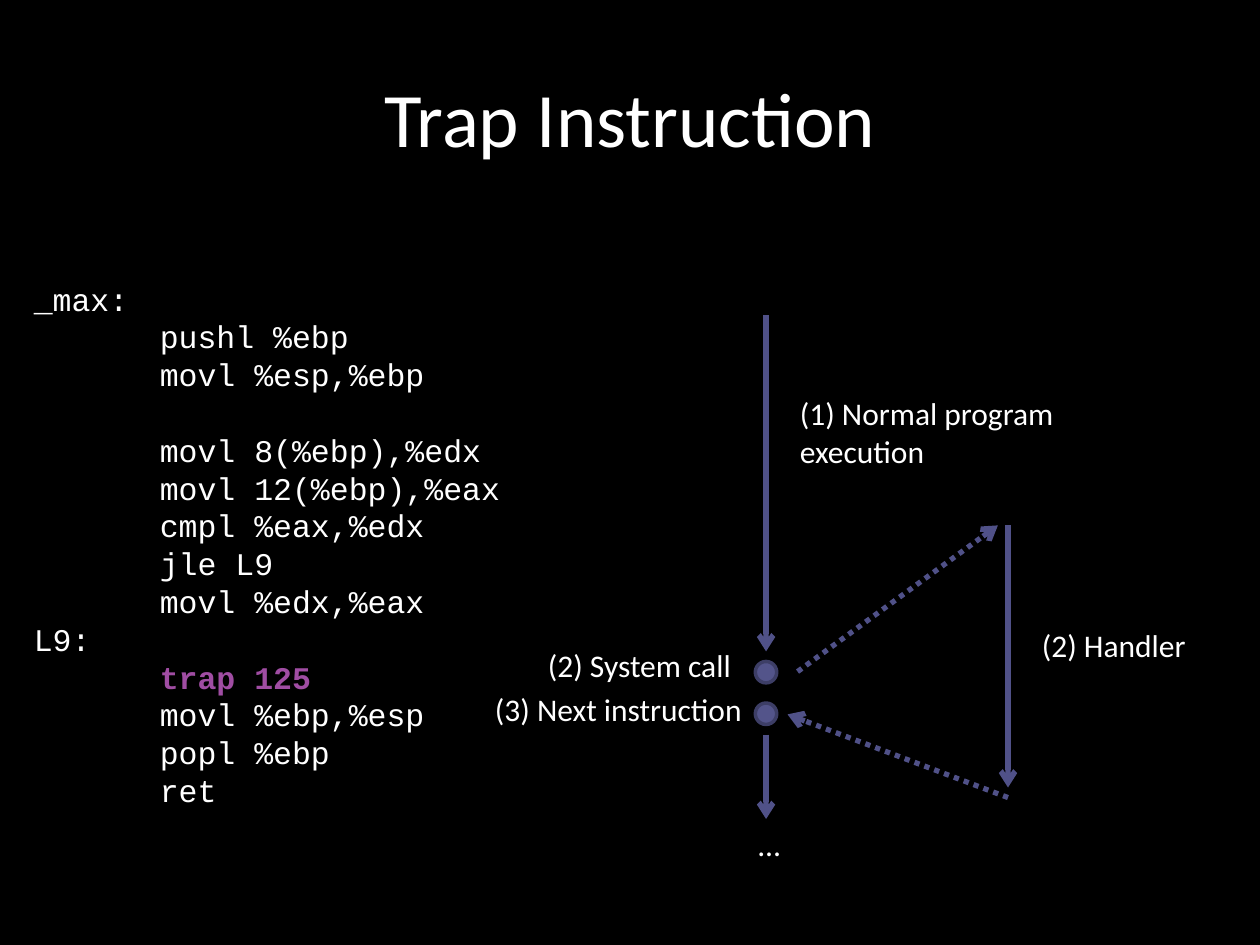
from lxml import etree
from pptx import Presentation
from pptx.dml.color import RGBColor
from pptx.enum.dml import MSO_LINE
from pptx.enum.shapes import MSO_CONNECTOR, MSO_SHAPE
from pptx.enum.text import MSO_ANCHOR, MSO_AUTO_SIZE, PP_ALIGN
from pptx.oxml.ns import qn
from pptx.util import Inches, Pt

STRAIGHT, OVAL = MSO_CONNECTOR.STRAIGHT, MSO_SHAPE.OVAL
DOTTED = MSO_LINE.ROUND_DOT  # written as sysDot
CENTER, MIDDLE = PP_ALIGN.CENTER, MSO_ANCHOR.MIDDLE
FIT_SHAPE = MSO_AUTO_SIZE.SHAPE_TO_FIT_TEXT

BLACK = RGBColor(0x00, 0x00, 0x00)
WHITE = RGBColor(0xFF, 0xFF, 0xFF)
ARROW_BLUE = RGBColor(0x50, 0x51, 0x88)
DOT_FILL = RGBColor(0x53, 0x54, 0x8A)
DOT_EDGE = RGBColor(0x3D, 0x3E, 0x66)
TRAP_PURPLE = RGBColor(0xA0, 0x4D, 0xA3)

BODY_FONT, CODE_FONT = "Calibri", "Courier New"
TEXT_SIZE = 18
CODE_LINE = Pt(21.6)
CODE_TAB = Inches(1)

# Content
TITLE = "Trap Instruction"
TRAP = "trap 125"
# Each block is set apart from the one before by one line
CODE_BLOCKS = [
    ["_max:", "\tpushl %ebp", "\tmovl %esp,%ebp"],
    ["\tmovl 8(%ebp),%edx", "\tmovl 12(%ebp),%eax", "\tcmpl %eax,%edx",
     "\tjle L9", "\tmovl %edx,%eax", "L9:", "\t" + TRAP,
     "\tmovl %ebp,%esp", "\tpopl %ebp", "\tret"],
]

# Program flow runs down one line, the handler down another
PROGRAM_X, HANDLER_X = 6.08, 8
DOT_SIZE = 0.17
DOT_TOPS = [5.25, 5.58]  # system call, next instruction
ARROWS = [  # start, end, dotted
    ((PROGRAM_X, 2.5), (PROGRAM_X, 5.17), False),
    ((6.33, 5.33), (7.92, 4.17), True),
    ((HANDLER_X, 4.17), (HANDLER_X, 6.25), False),
    ((HANDLER_X, 6.33), (6.25, 5.67), True),
    ((PROGRAM_X, 5.83), (PROGRAM_X, 6.5), False),
]
LABELS = [  # text, left, top, width, height
    ("(1) Normal program execution", 6.25, 3.08, 2.25, 0.71),
    ("(2) System call", 4.25, 5.08, 2.25, 0.4),
    ("(2) Handler", 8.17, 4.92, 2.25, 0.4),
    ("(3) Next instruction", 3.83, 5.43, 2.25, 0.4),
    ("…", 5.92, 6.5, 0.33, 0.4),
]


def add_run(paragraph, text, font=BODY_FONT, size=TEXT_SIZE, color=WHITE, bold=False):
    run = paragraph.add_run()
    run.text = text
    run.font.name = font
    run.font.size = Pt(size)
    run.font.color.rgb = color
    run.font.bold = bold


def add_text_frame(slide, left, top, width, height):
    box = slide.shapes.add_textbox(*map(Inches, (left, top, width, height)))
    frame = box.text_frame
    frame.word_wrap = True
    frame.auto_size = FIT_SHAPE
    return frame


def set_tab_stop(paragraph, position):
    stops = etree.SubElement(paragraph._p.get_or_add_pPr(), qn("a:tabLst"))
    etree.SubElement(stops, qn("a:tab"), pos=str(position), algn="l")


def add_code(slide):
    frame = add_text_frame(slide, 0.17, 2.17, 4.17, 4.3)
    paragraph = frame.paragraphs[0]
    for block_no, block in enumerate(CODE_BLOCKS):
        for line_no, line in enumerate(block):
            if block_no or line_no:
                paragraph = frame.add_paragraph()
            if block_no and not line_no:
                paragraph.space_before = CODE_LINE
            set_tab_stop(paragraph, CODE_TAB)
            before, trap, _ = line.partition(TRAP)
            add_run(paragraph, before, CODE_FONT)
            if trap:
                add_run(paragraph, trap, CODE_FONT, color=TRAP_PURPLE, bold=True)


def add_arrow(slide, start, end, dotted):
    arrow = slide.shapes.add_connector(STRAIGHT, *map(Inches, start + end))
    arrow.line.color.rgb = ARROW_BLUE
    arrow.line.width = Pt(3)
    if dotted:
        arrow.line.dash_style = DOTTED
    properties = arrow.line._get_or_add_ln()
    etree.SubElement(properties, qn("a:tailEnd"), type="arrow")
    etree.SubElement(arrow._element.spPr, qn("a:effectLst"))


def add_dot(slide, top):
    left = PROGRAM_X - DOT_SIZE / 2
    dot = slide.shapes.add_shape(
        OVAL, *map(Inches, (left, top, DOT_SIZE, DOT_SIZE)))
    dot.shadow.inherit = False
    dot.fill.solid()
    dot.fill.fore_color.rgb = DOT_FILL
    dot.line.color.rgb = DOT_EDGE
    dot.line.width = Pt(2)


def main():
    deck = Presentation()
    deck.slide_width, deck.slide_height = Inches(10), Inches(7.5)
    slide = deck.slides.add_slide(deck.slide_layouts[5])  # Title Only
    slide.background.fill.solid()
    slide.background.fill.fore_color.rgb = BLACK

    # Title
    title = slide.shapes.title
    title.left, title.top = Inches(0.5), Inches(0.3)
    title.width, title.height = Inches(9), Inches(1.25)
    title.text_frame.vertical_anchor = MIDDLE
    heading = title.text_frame.paragraphs[0]
    heading.alignment = CENTER
    add_run(heading, TITLE, size=44)

    # Assembly listing
    add_code(slide)

    # Control flow
    for start, end, dotted in ARROWS:
        add_arrow(slide, start, end, dotted)
    for top in DOT_TOPS:
        add_dot(slide, top)
    for text, *place in LABELS:
        add_run(add_text_frame(slide, *place).paragraphs[0], text)

    deck.save("out.pptx")


if __name__ == "__main__":
    main()
